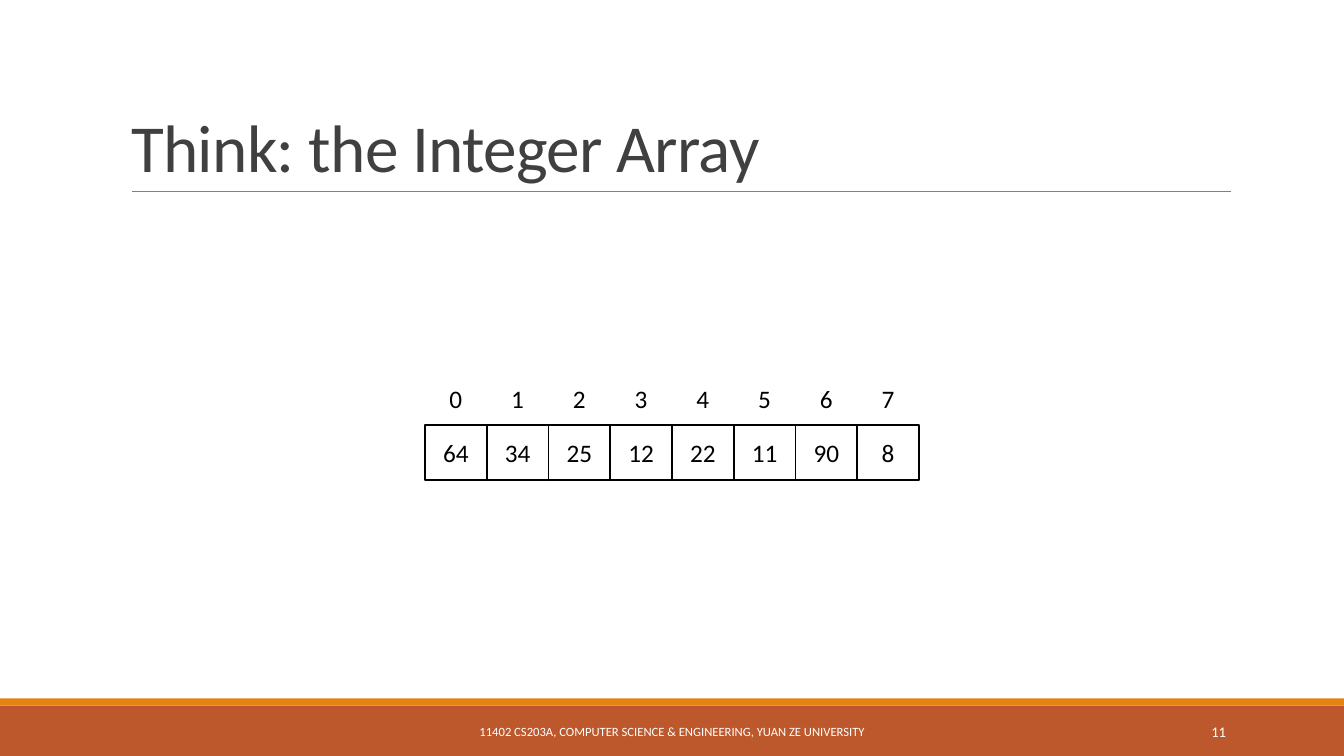
import dataclasses
from typing import Any, Optional

import lxml.etree
import pptx
import pptx.dml.color
import pptx.enum.shapes
import pptx.enum.text
import pptx.oxml.ns
import pptx.util

Inches = pptx.util.Inches
Align = pptx.enum.text.PP_ALIGN
Anchor = pptx.enum.text.MSO_ANCHOR


@dataclasses.dataclass(frozen=True)
class Theme:
    font: str = "Calibri"
    title: str = "404040"
    ink: str = "000000"
    paper: str = "FFFFFF"
    rule: str = "808080"
    footer_bar: str = "BD582C"
    accent_bar: str = "E48312"
    title_size: float = 48
    cell_size: float = 18
    footer_size: float = 9
    number_size: float = 10.5
    rule_width: float = 0.5
    cell_border: float = 1.25


@dataclasses.dataclass(frozen=True)
class Area:
    left: float
    top: float
    width: float
    height: float

    def lengths(self) -> list[int]:
        return [Inches(value) for value in dataclasses.astuple(self)]


@dataclasses.dataclass(frozen=True)
class Label:
    text: str
    size: float
    color: str
    align: Any = Align.CENTER
    anchor: Any = Anchor.MIDDLE


@dataclasses.dataclass(frozen=True)
class ArrayRow:
    values: tuple[int, ...]
    top: float
    border: Optional[float] = None


THEME = Theme()
PAGE_WIDTH, PAGE_HEIGHT = 13.33, 7.5
ARRAY_WIDTH, CELL_HEIGHT = 4.9, 0.54
ARRAY_LEFT = (PAGE_WIDTH - ARRAY_WIDTH) / 2
ARRAY_TOP = 4.22
NUMBERS = (64, 34, 25, 12, 22, 11, 90, 8)

BARS = (
    (Area(0, 7, PAGE_WIDTH, 0.5), THEME.footer_bar),
    (Area(0, 6.93, PAGE_WIDTH, 0.07), THEME.accent_bar),
)
FOOTERS = (
    (Area(4.03, 7.06, 5.27, 0.4),
     Label("11402 CS203A, COMPUTER SCIENCE & ENGINEERING, YUAN ZE UNIVERSITY",
           THEME.footer_size, THEME.paper)),
    (Area(10.83, 7.06, 1.43, 0.4),
     Label("11", THEME.number_size, THEME.paper, Align.RIGHT)),
)
ROWS = (
    ArrayRow(tuple(range(len(NUMBERS))), ARRAY_TOP - CELL_HEIGHT),
    ArrayRow(NUMBERS, ARRAY_TOP, THEME.cell_border),
)


def rgb(color: str) -> Any:
    return pptx.dml.color.RGBColor.from_string(color)


def set_all(target: Any, values: dict[str, Any]) -> None:
    for name, value in values.items():
        setattr(target, name, value)


def write(box: Any, label: Label) -> Any:
    """Put one formatted line of text in the box and return its paragraph."""
    set_all(box.text_frame, {"word_wrap": True, "vertical_anchor": label.anchor,
                             "auto_size": pptx.enum.text.MSO_AUTO_SIZE.NONE})
    para = box.text_frame.paragraphs[0]
    para.alignment = label.align
    span = para.add_run()
    span.text = label.text
    set_all(span.font, {"name": THEME.font, "size": pptx.util.Pt(label.size),
                        "bold": False})
    span.font.color.rgb = rgb(label.color)
    return para


def add_box(shapes: Any, area: Area, fill: str, border: Optional[float] = None) -> Any:
    box = shapes.add_shape(pptx.enum.shapes.MSO_SHAPE.RECTANGLE, *area.lengths())
    box.shadow.inherit = False
    box.fill.solid()
    box.fill.fore_color.rgb = rgb(fill)
    if border is None:
        box.line.fill.background()
    else:
        box.line.color.rgb = rgb(THEME.ink)
        box.line.width = pptx.util.Pt(border)
    return box


def add_title(page: Any) -> None:
    title = page.shapes.title
    names = ("left", "top", "width", "height")
    set_all(title, dict(zip(names, Area(1.2, 0.31, 11, 1.59).lengths())))
    para = write(title, Label("Think: the Integer Array", THEME.title_size,
                              THEME.title, Align.LEFT, Anchor.BOTTOM))
    para.line_spacing = 0.85
    para.runs[0].font._element.set("spc", "-50")


def add_title_rule(page: Any) -> None:
    ends = [Inches(value) for value in (1.31, 1.9, 12.21, 1.9)]
    rule = page.shapes.add_connector(pptx.enum.shapes.MSO_CONNECTOR.STRAIGHT, *ends)
    rule.line.color.rgb = rgb(THEME.rule)
    rule.line.width = pptx.util.Pt(THEME.rule_width)
    lxml.etree.SubElement(rule.element.spPr, pptx.oxml.ns.qn("a:effectLst"))


def add_array_row(page: Any, row: ArrayRow) -> None:
    group = page.shapes.add_group_shape()
    cell_width = ARRAY_WIDTH / len(row.values)
    for index, value in enumerate(row.values):
        area = Area(ARRAY_LEFT + index * cell_width, row.top, cell_width, CELL_HEIGHT)
        cell = add_box(group.shapes, area, THEME.paper, row.border)
        write(cell, Label(str(value), THEME.cell_size, THEME.ink))


def main() -> None:
    deck = pptx.Presentation()
    set_all(deck, {"slide_width": Inches(PAGE_WIDTH),
                   "slide_height": Inches(PAGE_HEIGHT)})
    page = deck.slides.add_slide(deck.slide_layouts.get_by_name("Title Only"))
    for area, color in BARS:
        add_box(page.shapes, area, color)
    add_title_rule(page)
    add_title(page)
    for area, label in FOOTERS:
        write(page.shapes.add_textbox(*area.lengths()), label)
    for row in ROWS:
        add_array_row(page, row)
    deck.save("out.pptx")


if __name__ == "__main__":
    main()
